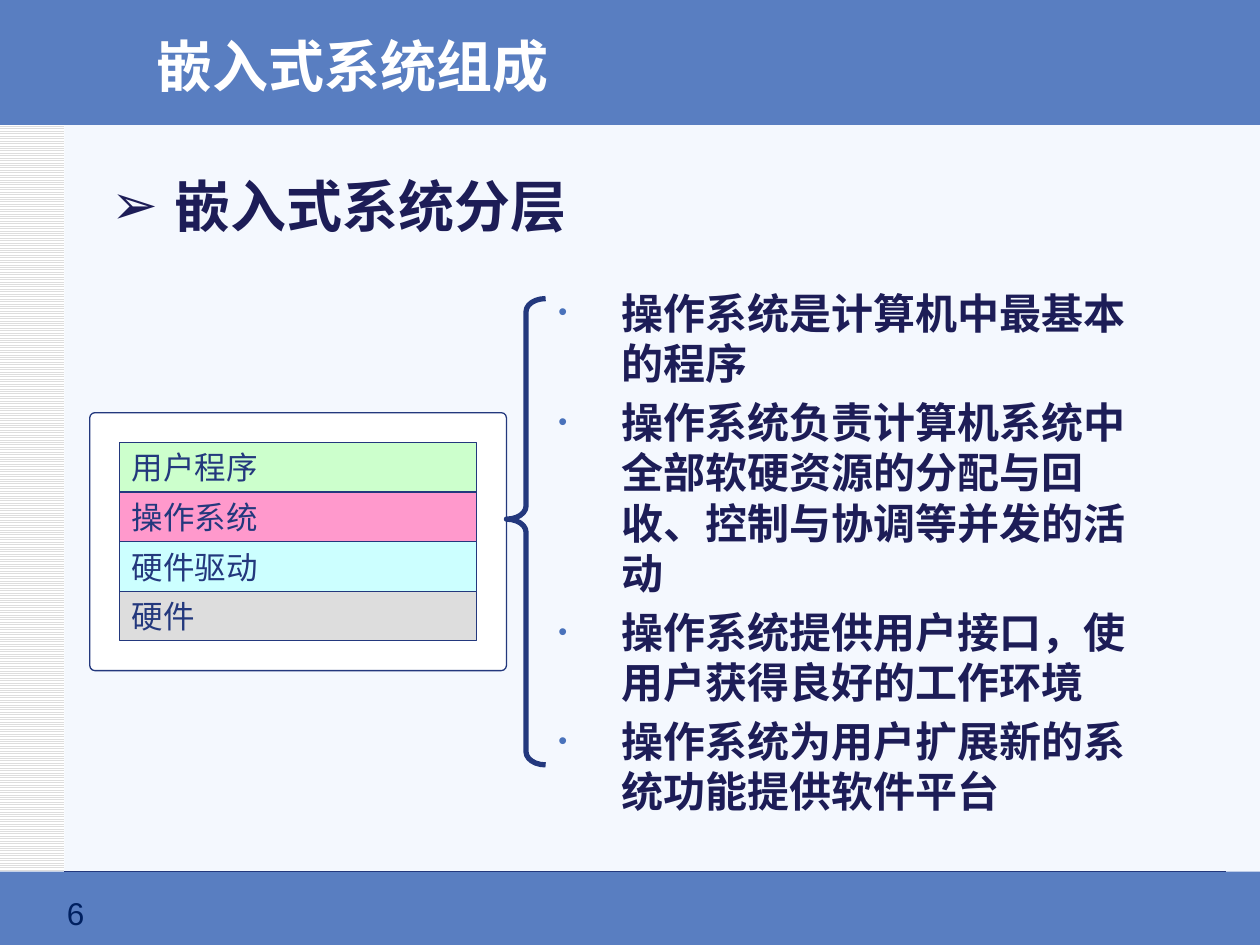
from lxml.etree import SubElement
from pptx import Presentation
from pptx.dml.color import RGBColor
from pptx.enum.dml import MSO_PATTERN
from pptx.enum.shapes import MSO_CONNECTOR, MSO_SHAPE
from pptx.enum.text import MSO_ANCHOR, MSO_AUTO_SIZE, PP_ALIGN
from pptx.oxml.ns import qn
from pptx.util import Cm, Pt

NAVY, BLUE, INK, WHITE = "23387D", "597EC1", "1D1D57", "FFFFFF"
CJK = "Noto Sans CJK SC"
TIERS = [("用户程序", "CCFFCC"), ("操作系统", "FF99CC"),
         ("硬件驱动", "CCFFFF"), ("硬件", "DDDDDD")]
POINTS = ["操作系统是计算机中最基本的程序",
          "操作系统负责计算机系统中全部软硬资源的分配与回收、控制与协调等并发的活动",
          "操作系统提供用户接口，使用户获得良好的工作环境",
          "操作系统为用户扩展新的系统功能提供软件平台"]


def rgb(hex_color):
    return RGBColor.from_string(hex_color)


def place(sp, x, y, w, h):
    sp.left, sp.top, sp.width, sp.height = Cm(x), Cm(y), Cm(w), Cm(h)


def style(p, size, color, font="Times New Roman", bold=False):
    p.alignment = PP_ALIGN.LEFT
    for r in p.runs:
        r.font.size, r.font.bold, r.font.name = Pt(size), bold, font
        r.font.color.rgb = rgb(color)
        SubElement(r.font._element, qn("a:ea")).set("typeface", CJK)


def bullet(p, char, color=None, percent=100):
    pPr = p._p.get_or_add_pPr()
    pPr.set("marL", str(Cm(1.27)))
    pPr.set("indent", str(-Cm(1.27)))
    pPr.set("hangingPunct", "0")
    if color:
        clr = SubElement(pPr, qn("a:buClr"))
        SubElement(clr, qn("a:srgbClr")).set("val", color)
    SubElement(pPr, qn("a:buSzPct")).set("val", str(percent * 1000))
    SubElement(pPr, qn("a:buFont")).set("typeface", "Arial")
    SubElement(pPr, qn("a:buChar")).set("char", char)


def add_box(shapes, kind, x, y, w, h, fill=None, line=None, width=0.75):
    sp = shapes.add_shape(kind, Cm(x), Cm(y), Cm(w), Cm(h))
    sp.shadow.inherit = False
    if fill:
        sp.fill.solid()
        sp.fill.fore_color.rgb = rgb(fill)
    else:
        sp.fill.background()
    if line:
        sp.line.color.rgb = rgb(line)
        sp.line.width = Pt(width)
    else:
        sp.line.fill.background()
    return sp


def add_frame(s, w, h):
    rect = MSO_SHAPE.RECTANGLE
    strip = add_box(s.shapes, rect, 0, 0, 1.3, h)
    strip.fill.patterned()
    strip.fill.pattern = MSO_PATTERN.LIGHT_HORIZONTAL
    strip.fill.fore_color.rgb = rgb("DDDDDD")
    strip.fill.back_color.rgb = rgb(WHITE)
    add_box(s.shapes, rect, 0, h - 1.48, w, 1.48, BLUE)
    add_box(s.shapes, rect, 0, -0.08, w, 2.6, BLUE)
    rule = s.shapes.add_connector(MSO_CONNECTOR.STRAIGHT, Cm(1.3), Cm(h - 1.49),
                                  Cm(w - 0.69), Cm(h - 1.49))
    rule.line.color.rgb = rgb(NAVY)
    rule.line.width = Pt(0.25)
    SubElement(rule._element.spPr, qn("a:effectLst"))
    number = s.shapes.add_textbox(Cm(1.1), Cm(h - 1.15), Cm(1.3), Cm(1.02))
    number.text_frame.text = "6"
    style(number.text_frame.paragraphs[0], 18, "002060", "Arial")


def fill_placeholder(sp, box, lines, size, color, font="Times New Roman"):
    place(sp, *box)
    sp._element.getparent().append(sp._element)
    tf = sp.text_frame
    tf.text = "\n".join(lines)
    tf.auto_size = MSO_AUTO_SIZE.NONE
    for p in tf.paragraphs:
        style(p, size, color, font, True)
    return tf


def add_title(s, box, text):
    tf = fill_placeholder(s.shapes.title, box, [text], 32, WHITE, CJK)
    tf.vertical_anchor = MSO_ANCHOR.MIDDLE


def add_heading(s, box, text):
    tf = fill_placeholder(s.placeholders[1], box, [text], 32, INK)
    tf.paragraphs[0].space_before = Pt(0)
    bullet(tf.paragraphs[0], "➢")


def add_points(s, box, points):
    tf = fill_placeholder(s.placeholders[2], box, points, 24, INK)
    for p in tf.paragraphs:
        p.space_before = Pt(4.8)
        bullet(p, "•", "4972BB", 60)


def add_stack(s, x, y, w, h, tiers, margin=0.6):
    shapes = s.shapes.add_group_shape().shapes
    panel = add_box(shapes, MSO_SHAPE.ROUNDED_RECTANGLE, x, y, w, h, WHITE, NAVY)
    panel.adjustments[0] = 0.02
    tier_h = (h - 2 * margin) / len(tiers)
    for i, (name, fill) in enumerate(tiers):
        sp = add_box(shapes, MSO_SHAPE.RECTANGLE, x + margin, y + margin + i * tier_h,
                     w - 2 * margin, tier_h, fill, NAVY)
        tf = sp.text_frame
        tf.text = name
        tf.word_wrap = False
        tf.vertical_anchor = MSO_ANCHOR.MIDDLE
        style(tf.paragraphs[0], 18, NAVY)


def add_brace(s, x, y, w, h):
    sp = add_box(s.shapes, MSO_SHAPE.LEFT_BRACE, x, y, w, h, line=NAVY, width=3)
    sp.adjustments[0], sp.adjustments[1] = 0.333, 0.473


prs = Presentation()
prs.slide_width, prs.slide_height = Cm(25.4), Cm(19.05)
s = prs.slides.add_slide(prs.slide_layouts[3])
s.background.fill.solid()
s.background.fill.fore_color.rgb = rgb("F4F8FE")
add_frame(s, 25.4, 19.05)
add_title(s, (2.9, 0.53, 11.8, 1.57), "嵌入式系统组成")
add_heading(s, (2, 3.33, 21.7, 1.63), "嵌入式系统分层")
add_stack(s, 1.81, 8.32, 8.4, 5.2, TIERS)
add_points(s, (11, 5.66, 12.7, 10.1), POINTS)
add_brace(s, 10.21, 6.02, 0.79, 9.4)
prs.save("out.pptx")
